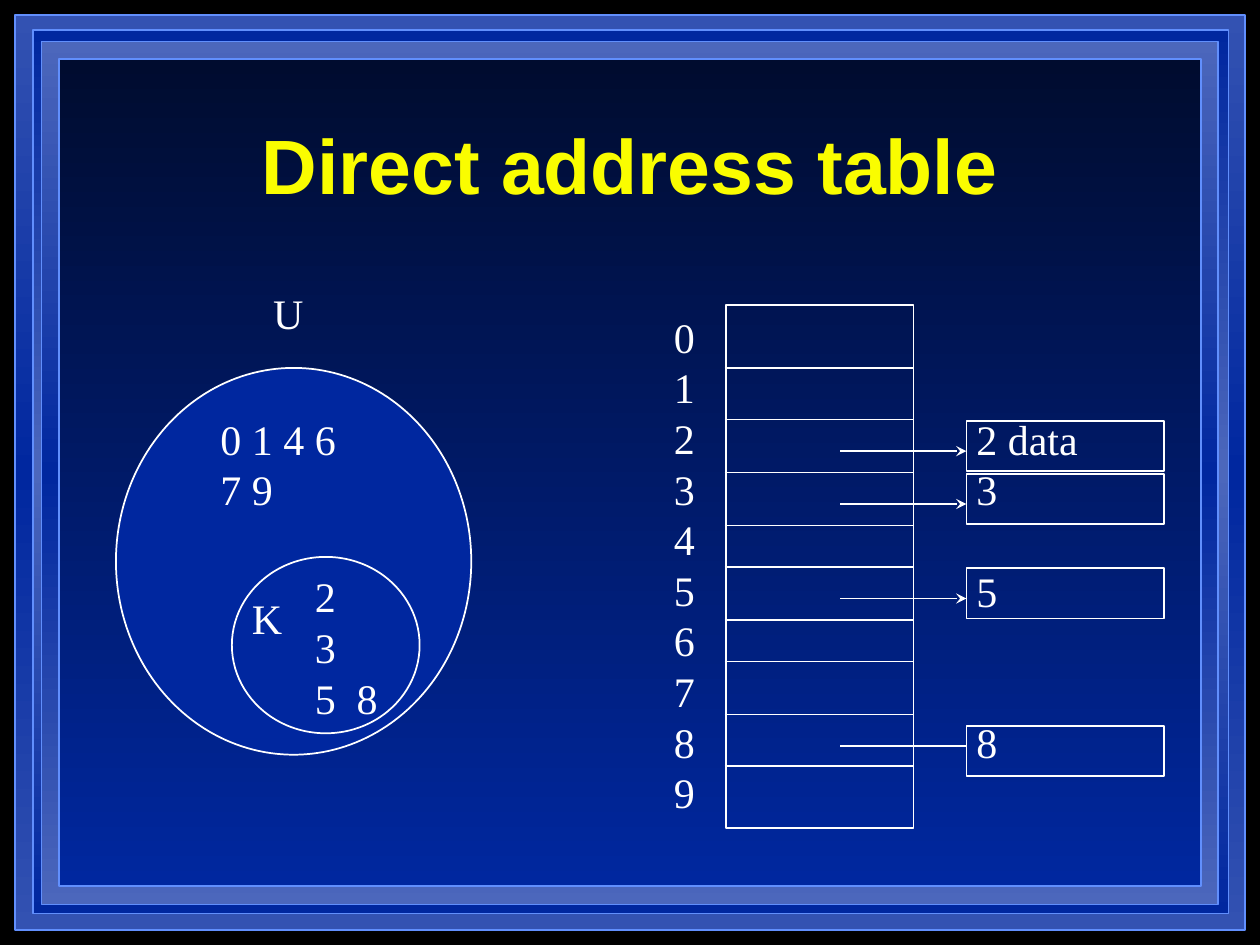
import copy

import pptx
import pptx.dml.color
import pptx.enum.shapes
import pptx.enum.text
import pptx.oxml.ns
import pptx.util
from lxml import etree

Inches, Pt = pptx.util.Inches, pptx.util.Pt
RGBColor = pptx.dml.color.RGBColor
qn = pptx.oxml.ns.qn
SHAPE = pptx.enum.shapes.MSO_SHAPE

BLACK = RGBColor(0x00, 0x00, 0x00)
WHITE = RGBColor(0xFF, 0xFF, 0xFF)
YELLOW = RGBColor(0xFA, 0xFD, 0x00)
BLUE = RGBColor(0x00, 0x27, 0x9F)
MID_BLUE = RGBColor(0x33, 0x52, 0xB2)
PALE_BLUE = RGBColor(0x4C, 0x67, 0xBC)
NIGHT_BLUE = RGBColor(0x00, 0x0C, 0x2F)
EDGE_BLUE = RGBColor(0x61, 0x8F, 0xFD)

LINE_PITCH = 28.9  # points between text lines

# Nested frames: box, gradient colours from top to bottom
FRAMES = [
    ((0.12, 0.12, 9.76, 7.26), (MID_BLUE, BLUE, MID_BLUE)),
    ((0.26, 0.24, 9.49, 7.01), (BLUE, PALE_BLUE, BLUE)),
    ((0.33, 0.33, 9.34, 6.85), (PALE_BLUE, BLUE, PALE_BLUE)),
    ((0.47, 0.47, 9.06, 6.56), (NIGHT_BLUE, BLUE)),
]
TITLE = "Direct address table"
UNIVERSE = (0.92, 2.92, 2.82, 3.07)
KEYS = (1.84, 4.42, 1.49, 1.4)
SET_LABELS = [
    ((2.4, 4.48, 0.7, 1.3), ["2", "3", "5  8"]),
    ((1.65, 3.23, 1.12, 0.9), ["0 1 4 6", "7 9"]),
    ((2.07, 2.23, 0.44, 0.5), ["U"]),
    ((1.9, 4.65, 0.44, 0.5), ["K"]),
]
SLOTS = (5.76, 2.42, 1.49, 4.15)
SLOT_BORDERS = [2.92, 3.33, 3.75, 4.17, 4.5, 4.92, 5.25, 5.67, 6.08]
SLOT_NUMBERS = [str(number) for number in range(10)]
# Records: text, empty lines above, box top, pointer height, arrowhead
RECORDS = [
    ("2 data", 0, 3.34, 3.58, True),
    ("3", 0, 3.76, 4, True),
    ("5", 1, 4.51, 4.75, True),
    ("8", 2, 5.76, 5.92, False),
]
RECORD_LEFT, RECORD_WIDTH, RECORD_HEIGHT = 7.67, 1.57, 0.4


def add_outline(slide, kind, box, fill=None, edge=WHITE):
    shape = slide.shapes.add_shape(kind, *map(Inches, box))
    shape.shadow.inherit = False
    shape.line.color.rgb = edge
    shape.line.width = Pt(1)
    if fill is None:
        shape.fill.background()
    else:
        shape.fill.solid()
        shape.fill.fore_color.rgb = fill
    return shape


def add_frame(slide, box, colours):
    frame = add_outline(slide, SHAPE.RECTANGLE, box, edge=EDGE_BLUE)
    frame.fill.gradient()
    frame.fill.gradient_angle = 270
    stop_list = next(frame._element.spPr.iter(qn("a:gsLst")))
    if len(colours) == 3:
        stop_list.append(copy.deepcopy(stop_list[-1]))
    for i, (stop, colour) in enumerate(zip(frame.fill.gradient_stops, colours)):
        stop.color.rgb = colour
        stop.position = i / (len(colours) - 1)


def add_lines(slide, box, lines, wrap=False, gaps=()):
    """Add white text, one paragraph a line; gaps are empty lines above each."""
    frame = slide.shapes.add_textbox(*map(Inches, box)).text_frame
    frame.word_wrap = wrap
    frame.auto_size = pptx.enum.text.MSO_AUTO_SIZE.SHAPE_TO_FIT_TEXT
    frame.text = "\n".join(lines)
    for paragraph in frame.paragraphs:
        paragraph.line_spacing = Pt(LINE_PITCH)
        paragraph.font.size = Pt(24)
        paragraph.font.name = "Times New Roman"
        paragraph.font.color.rgb = WHITE
    for paragraph, gap in zip(frame.paragraphs, gaps):
        if gap:
            paragraph.space_before = Pt(gap * LINE_PITCH)


def add_level_line(slide, left, right, y, arrow=False):
    line = slide.shapes.add_connector(
        pptx.enum.shapes.MSO_CONNECTOR.STRAIGHT,
        Inches(left), Inches(y), Inches(right), Inches(y))
    line.line.color.rgb = WHITE
    line.line.width = Pt(1)
    if arrow:
        etree.SubElement(line.line._get_or_add_ln(), qn("a:tailEnd"), type="stealth")
    etree.SubElement(line._element.spPr, qn("a:effectLst"))


def add_title(slide):
    frame = slide.shapes.add_textbox(*map(Inches, (0.75, 0.67, 8.5, 1.25))).text_frame
    frame.word_wrap = True
    frame.vertical_anchor = pptx.enum.text.MSO_ANCHOR.MIDDLE
    frame.text = TITLE
    heading = frame.paragraphs[0]
    heading.alignment = pptx.enum.text.PP_ALIGN.CENTER
    heading.font.size = Pt(44)
    heading.font.name = "Arial"
    heading.font.bold = True
    heading.font.color.rgb = YELLOW


def main():
    deck = pptx.Presentation()
    deck.slide_width, deck.slide_height = Inches(10), Inches(7.5)
    slide = deck.slides.add_slide(deck.slide_layouts[6])
    slide.background.fill.solid()
    slide.background.fill.fore_color.rgb = BLACK
    for box, colours in FRAMES:
        add_frame(slide, box, colours)
    add_title(slide)

    add_outline(slide, SHAPE.OVAL, UNIVERSE, fill=BLUE)
    add_outline(slide, SHAPE.OVAL, KEYS)
    for box, lines in SET_LABELS:
        add_lines(slide, box, lines)

    add_outline(slide, SHAPE.RECTANGLE, SLOTS)
    for y in SLOT_BORDERS:
        add_level_line(slide, 5.75, 7.25, y)
    add_lines(slide, (5.25, 2.42, 0.5, 4.1), SLOT_NUMBERS, wrap=True)

    texts, gaps, *_ = zip(*RECORDS)
    add_lines(slide, (7.65, 3.23, 1.17, 2.9), texts, wrap=True, gaps=gaps)
    for _, _, top, pointer_y, arrow in RECORDS:
        add_level_line(slide, 6.67, RECORD_LEFT, pointer_y, arrow)
        add_outline(slide, SHAPE.RECTANGLE,
                    (RECORD_LEFT, top, RECORD_WIDTH, RECORD_HEIGHT))
    deck.save("out.pptx")


if __name__ == "__main__":
    main()
